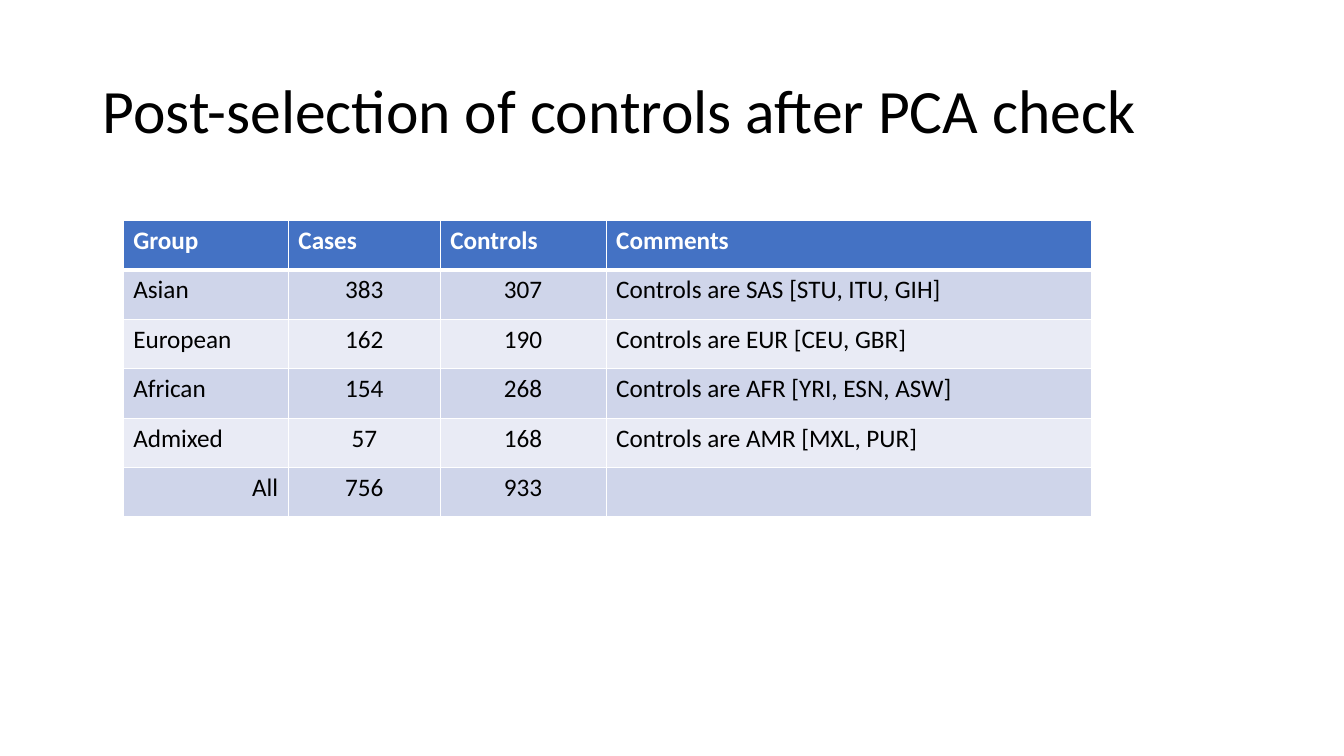
from dataclasses import dataclass

from lxml.etree import SubElement
from pptx import Presentation
from pptx.dml.color import RGBColor
from pptx.enum.text import MSO_ANCHOR, MSO_AUTO_SIZE, PP_ALIGN
from pptx.oxml.ns import qn
from pptx.util import Pt


@dataclass(frozen=True)
class Theme:
    face: str = "Calibri"
    ink: str = "000000"
    white: str = "FFFFFF"
    head: str = "4472C4"
    bands: tuple = ("CFD5EA", "E9EBF5")
    large: float = 44
    body: float = 18
    thin: float = 1
    thick: float = 3


class Deck:
    def __init__(self, theme):
        self.theme = theme
        self.deck = Presentation()
        self.deck.slide_width = Pt(960)
        self.deck.slide_height = Pt(540)
        self.slide = self.deck.slides.add_slide(self.deck.slide_layouts[5])

    def label(self, frame, text, size, color, align=PP_ALIGN.LEFT, bold=False):
        para = frame.paragraphs[0]
        para.alignment = align
        run = para.add_run()
        run.text = text
        style = {"name": self.theme.face, "size": Pt(size), "bold": bold}
        for key, value in style.items():
            setattr(run.font, key, value)
        run.font.color.rgb = RGBColor.from_string(color)

    def title(self, text, left, top, width, height):
        shape = self.slide.shapes.title
        place = {"left": left, "top": top, "width": width, "height": height}
        for key, value in place.items():
            setattr(shape, key, Pt(value))
        frame = shape.text_frame
        form = {
            "word_wrap": True,
            "auto_size": MSO_AUTO_SIZE.NONE,
            "vertical_anchor": MSO_ANCHOR.MIDDLE,
        }
        for key, value in form.items():
            setattr(frame, key, value)
        self.label(frame, text, self.theme.large, self.theme.ink)
        frame.paragraphs[0].line_spacing = 0.9

    def edge(self, cell, **sides):
        props = cell._tc.get_or_add_tcPr()
        for side, width in sides.items():
            line = SubElement(props, qn(f"a:ln{side}"), w=str(Pt(width)))
            fill = SubElement(line, qn("a:solidFill"))
            SubElement(fill, qn("a:srgbClr"), val=self.theme.white)

    def table(self, rows, left, top, widths, step):
        look = self.theme
        box = self.slide.shapes.add_table(
            len(rows), len(widths), Pt(left), Pt(top),
            Pt(sum(widths)), Pt(step * len(rows)),
        )
        grid = box.table
        for col, width in zip(grid.columns, widths):
            col.width = Pt(width)
        for i, row in enumerate(rows):
            grid.rows[i].height = Pt(step)
            first = i == 0
            for j, text in enumerate(row):
                cell = grid.cell(i, j)
                self.edge(
                    cell, L=look.thin, R=look.thin,
                    T=look.thick if i == 1 else look.thin,
                    B=look.thick if first else look.thin,
                )
                cell.fill.solid()
                shade = look.head if first else look.bands[(i - 1) % 2]
                cell.fill.fore_color.rgb = RGBColor.from_string(shade)
                align = PP_ALIGN.LEFT
                if text.isdigit():
                    align = PP_ALIGN.CENTER
                elif text == "All":
                    align = PP_ALIGN.RIGHT
                if text:
                    color = look.white if first else look.ink
                    self.label(cell.text_frame, text, look.body, color, align, first)


def main():
    page = Deck(Theme())
    page.title("Post-selection of controls after PCA check", 66, 28.75, 828, 104.4)
    rows = [
        ("Group", "Cases", "Controls", "Comments"),
        ("Asian", "383", "307", "Controls are SAS [STU, ITU, GIH]"),
        ("European", "162", "190", "Controls are EUR [CEU, GBR]"),
        ("African", "154", "268", "Controls are AFR [YRI, ESN, ASW]"),
        ("Admixed", "57", "168", "Controls are AMR [MXL, PUR]"),
        ("All", "756", "933", ""),
    ]
    page.table(rows, 88, 157.5, (118, 108.5, 118.5, 347), 35.3)
    page.deck.save("out.pptx")


if __name__ == "__main__":
    main()
